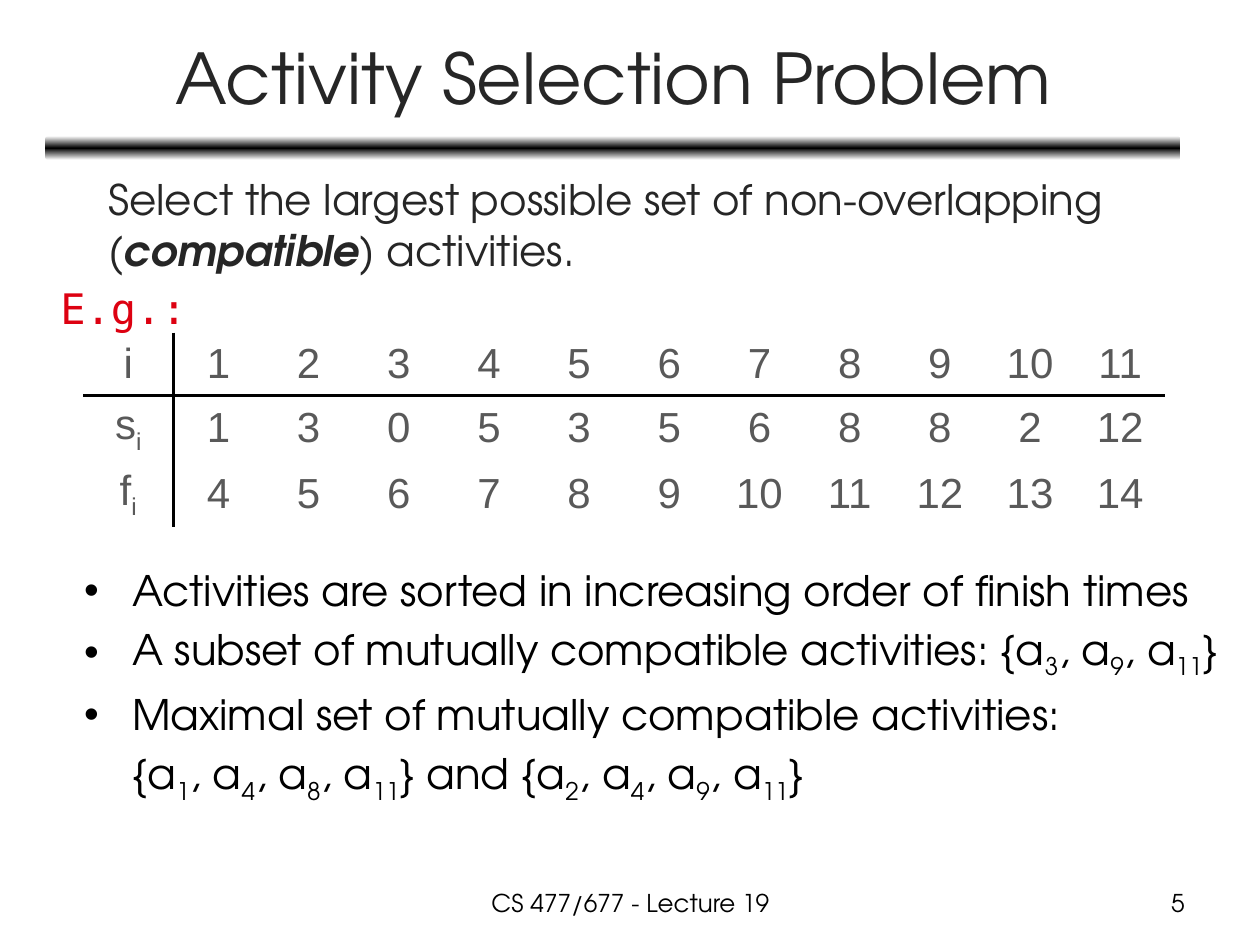
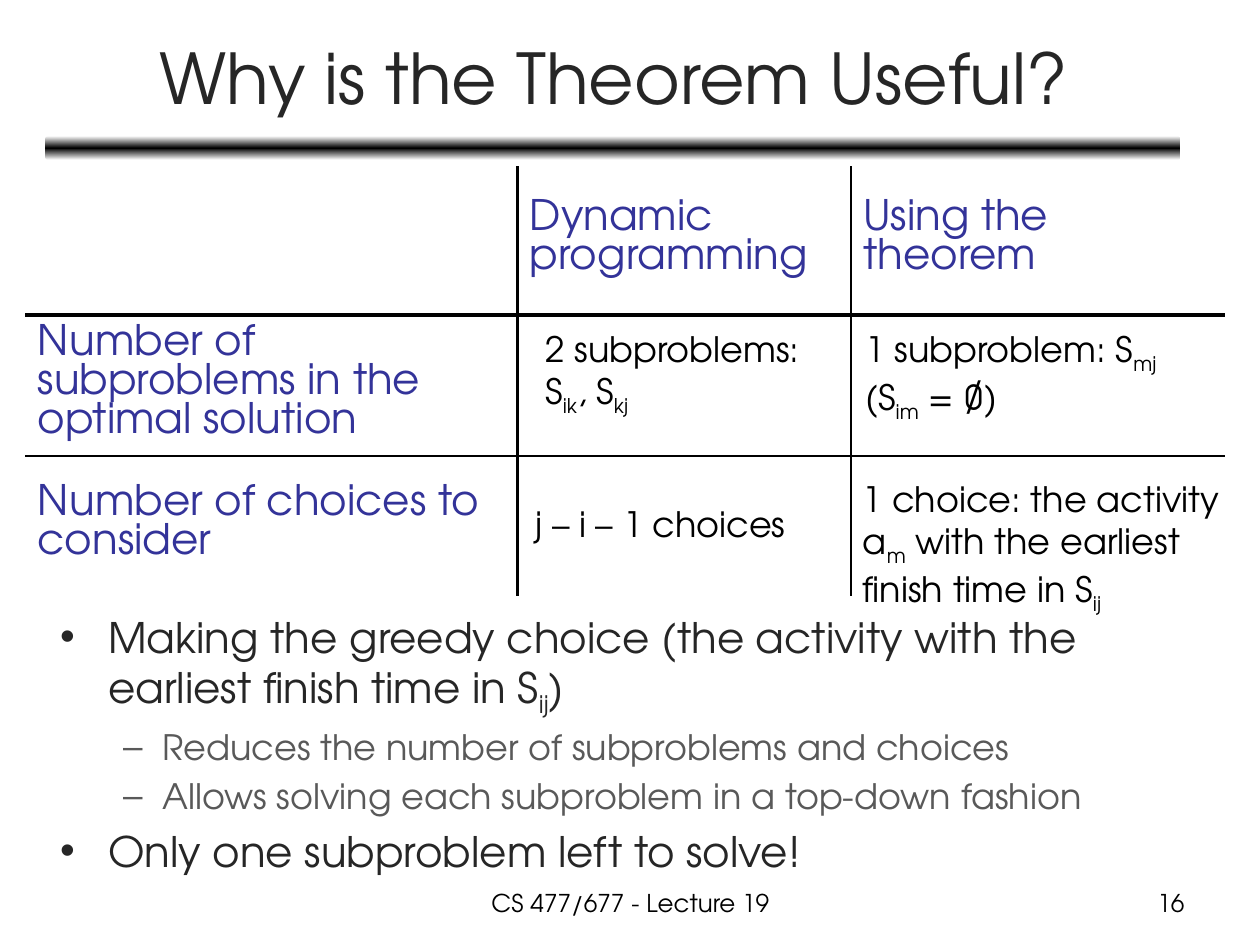
from lxml.etree import SubElement
from pptx import Presentation
from pptx.dml.color import RGBColor
from pptx.enum.shapes import MSO_SHAPE
from pptx.enum.text import MSO_ANCHOR as ANCHOR, MSO_AUTO_SIZE as AUTO_SIZE, PP_ALIGN as ALIGN
from pptx.oxml.ns import qn
from pptx.util import Inches, Pt

FONT = "TeX Gyre Adventor"
BLACK, DARK, GREY = "000000", "262626", "595959"
RED, BLUE, WHITE = "DD0111", "333399", "FFFFFF"
FOOTER = "CS 477/677 - Lecture 19"
THICK, THIN = 2.25, 1


def rgb(hex_color):
    return RGBColor.from_string(hex_color)


def add_runs(p, text, size, color, font=FONT):
    """Add text run by run: *bold italic* and ~subscript~ are marked up."""
    for i, span in enumerate(text.split("*")):
        for j, part in enumerate(span.split("~")):
            if not part:
                continue
            r = p.add_run()
            r.text = part
            r.font.size = Pt(size)
            r.font.name = font
            r.font.color.rgb = rgb(color)
            if i % 2:
                r.font.bold = r.font.italic = True
            if j % 2:
                r.font._element.set("baseline", "-25000")


def add_box(s, left, top, width, height, wrap=True, anchor=ANCHOR.TOP):
    tf = s.shapes.add_textbox(*map(Inches, (left, top, width, height))).text_frame
    tf.word_wrap = wrap
    tf.vertical_anchor = anchor
    return tf


def next_paragraph(tf):
    first = tf.paragraphs[0]
    return tf.add_paragraph() if first.runs else first


def add_item(tf, text, size=24, color=BLACK, font=FONT, indent=0.38, hang=0.38, bullet=None):
    """Add an indented paragraph, with a hanging bullet if one is given."""
    p = next_paragraph(tf)
    if len(tf.paragraphs) > 1:
        p.space_before = Pt(size * 0.2)
    pPr = p._p.get_or_add_pPr()
    pPr.set("marL", str(Inches(indent)))
    pPr.set("indent", str(-Inches(hang) if bullet else 0))
    if bullet:
        SubElement(pPr, qn("a:buFont"), typeface="Arial")
        SubElement(pPr, qn("a:buChar"), char=bullet)
    add_runs(p, text, size, color, font)


def add_line_text(s, text, left, top, width, height, size, color, align,
                  anchor=ANCHOR.TOP):
    p = add_box(s, left, top, width, height, anchor=anchor).paragraphs[0]
    p.alignment = align
    add_runs(p, text, size, color)


def add_note(s, lines, left, top, width, height):
    """Lay unwrapped lines of text over a table cell."""
    tf = add_box(s, left, top, width, height, wrap=False)
    tf.auto_size = AUTO_SIZE.SHAPE_TO_FIT_TEXT
    for line in lines:
        add_runs(next_paragraph(tf), line, 20, BLACK)


def add_title_band(s):
    sp = s.shapes.add_shape(MSO_SHAPE.ROUNDED_RECTANGLE,
                            *map(Inches, (0.36, 1.08, 9.01, 0.19)))
    sp.shadow.inherit = False
    sp.line.fill.background()
    sp.fill.gradient()
    sp.fill.gradient_angle = 90
    stops = sp._element.spPr.find(".//" + qn("a:gsLst"))
    for stop in list(stops):
        stops.remove(stop)
    for percent, color in ((0, WHITE), (50, BLACK), (100, WHITE)):
        stop = SubElement(stops, qn("a:gs"), pos=str(percent * 1000))
        SubElement(stop, qn("a:srgbClr"), val=color)


def add_slide(prs, title, number):
    s = prs.slides.add_slide(prs.slide_layouts[6])
    add_title_band(s)
    add_line_text(s, title, 0.37, 0.11, 9, 0.99, 40, DARK, ALIGN.CENTER, ANCHOR.MIDDLE)
    add_line_text(s, FOOTER, 3.42, 7, 3.17, 0.35, 14, BLACK, ALIGN.CENTER)
    add_line_text(s, str(number), 7.17, 7, 2.33, 0.35, 14, BLACK, ALIGN.RIGHT)
    return s


def set_borders(cell, **widths):
    """Draw the given sides (L, R, T, B, in that order); None leaves a side bare."""
    tcPr = cell._tc.get_or_add_tcPr()
    for side, width in widths.items():
        ln = SubElement(tcPr, qn("a:ln" + side), w=str(Pt(width or 0)))
        if width:
            fill = SubElement(ln, qn("a:solidFill"))
            SubElement(fill, qn("a:srgbClr"), val=BLACK)
        else:
            SubElement(ln, qn("a:noFill"))


def add_ruled_table(s, left, top, width, cols, rows, texts, col_rules, row_rules, color,
                    font=FONT, align=ALIGN.LEFT, spacing=None, margins=(0.05, 0.05)):
    """Add a table with rules (index: width) after some columns and rows.

    The entries of cols are shares of the width.
    """
    shape = s.shapes.add_table(len(rows), len(cols), *map(
        Inches, (left, top, width, sum(rows))))
    table = shape.table
    table.first_row = table.horz_banding = False
    for col, share in zip(table.columns, cols):
        col.width = Inches(width * share / sum(cols))
    for row, height in zip(table.rows, rows):
        row.height = Inches(height)
    for i, row_texts in enumerate(texts):
        for j, text in enumerate(row_texts):
            cell = table.cell(i, j)
            cell.vertical_anchor = ANCHOR.MIDDLE
            cell.margin_top, cell.margin_bottom = map(Inches, margins)
            set_borders(cell, L=col_rules.get(j - 1), R=col_rules.get(j),
                        T=row_rules.get(i - 1), B=row_rules.get(i))
            cell.fill.background()
            p = cell.text_frame.paragraphs[0]
            p.alignment = align
            p.line_spacing = spacing
            add_runs(p, text, 24, color, font)


def activity_slide(prs):
    s = add_slide(prs, "Activity Selection Problem", 5)
    tf = add_box(s, 0.38, 1.33, 8.82, 1.53)
    add_item(tf, "Select the largest possible set of non-overlapping "
                 "(*compatible*) activities.", color=DARK)
    add_item(tf, "E.g.:", color=RED, font="DejaVu Sans Mono", indent=0)

    tf = add_box(s, 0.57, 4.43, 9.29, 2.7)
    for text in ("Activities are sorted in increasing order of finish times",
                 "A subset of mutually compatible activities: {a~3~, a~9~, a~11~}",
                 "Maximal set of mutually compatible activities:"):
        add_item(tf, text, bullet="•")
    add_item(tf, "{a~1~, a~4~, a~8~, a~11~} and {a~2~, a~4~, a~9~, a~11~}")

    starts = [1, 3, 0, 5, 3, 5, 6, 8, 8, 2, 12]
    activities = {"i": range(1, 12), "s~i~": starts, "f~i~": range(4, 15)}
    texts = [[name, *map(str, values)] for name, values in activities.items()]
    add_ruled_table(s, 0.66, 2.64, 8.59, [1] * 12, [0.5, 0.52, 0.52], texts,
                    {0: THICK}, {0: THICK}, GREY, "Arial", ALIGN.CENTER,
                    margins=(0.02, 0.02))


def theorem_slide(prs):
    s = add_slide(prs, "Why is the Theorem Useful?", 16)
    tf = add_box(s, 0.38, 4.8, 9.37, 2.41)
    add_item(tf, "Making the greedy choice (the activity with the earliest "
                 "finish time in S~ij~)", color=DARK, bullet="•")
    for text in ("Reduces the number of subproblems and choices",
                 "Allows solving each subproblem in a top-down fashion"):
        add_item(tf, text, 20, GREY, indent=0.81, hang=0.31, bullet="–")
    add_item(tf, "Only one subproblem left to solve!", color=DARK, bullet="•")

    texts = [["", "Dynamic programming", "Using the theorem"],
             ["Number of subproblems in the optimal solution", "", ""],
             ["Number of choices to consider", "", ""]]
    add_ruled_table(s, 0.2, 1.32, 9.52, [3.91, 2.65, 2.97], [1.18, 1.12, 1.11], texts,
                    {0: THICK, 1: THIN}, {0: THICK, 1: THIN}, BLUE,
                    spacing=Pt(22.3), margins=(0.05, 0.09))

    add_note(s, ["2 subproblems:", "S~ik~, S~kj~"], 4.23, 2.55, 2.24, 0.77)
    add_note(s, ["j – i – 1 choices"], 4.15, 3.94, 2.22, 0.44)
    add_note(s, ["1 choice: the activity", "a~m~ with the earliest",
                 "finish time in S~ij~"], 6.75, 3.74, 3.05, 1.11)
    add_note(s, ["1 subproblem: S~mj~", "(S~im~ = ∅)"], 6.77, 2.55, 2.57, 0.77)


def main():
    prs = Presentation()
    prs.slide_width, prs.slide_height = Inches(10), Inches(7.5)
    activity_slide(prs)
    theorem_slide(prs)
    prs.save("out.pptx")


if __name__ == "__main__":
    main()
